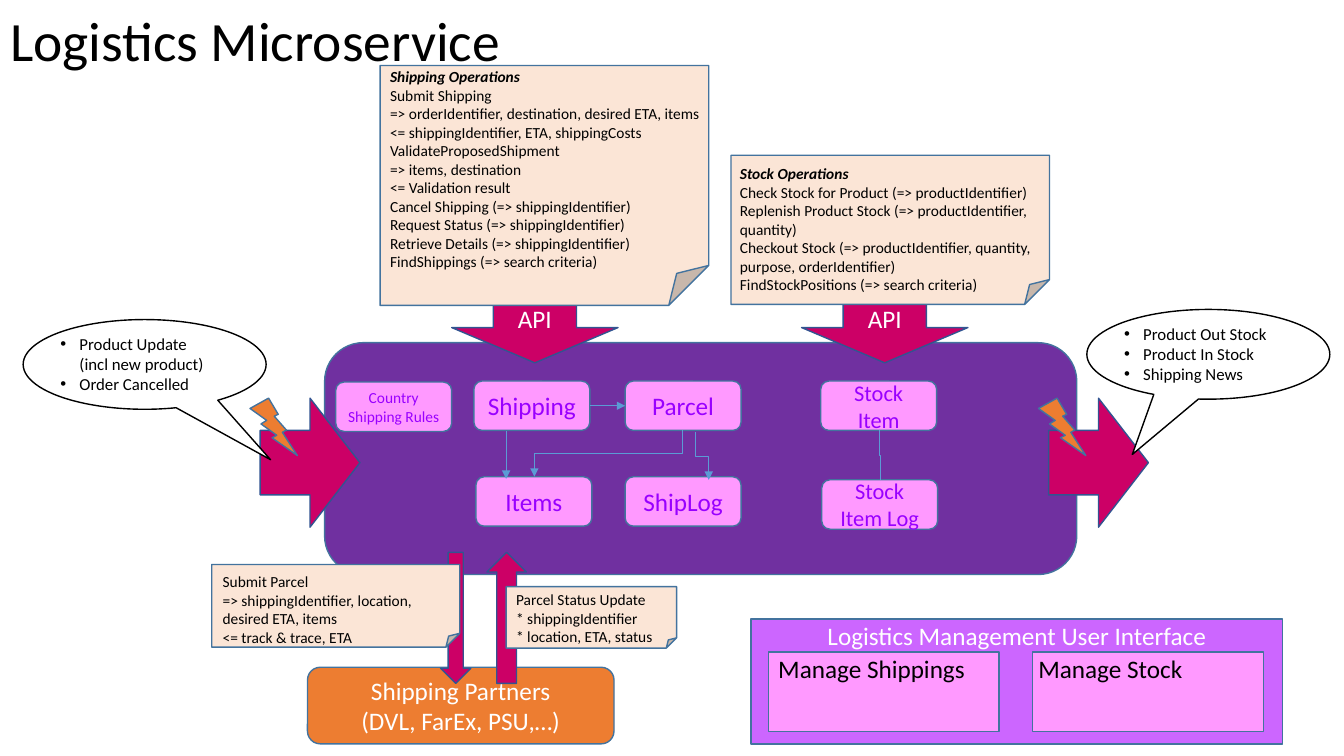
from lxml import etree
from pptx import Presentation
from pptx import util as u
from pptx.dml.color import RGBColor
from pptx.enum import shapes, text
from pptx.oxml import ns

PX = 9144
FONT = "Calibri"
EDGE, ARROW_EDGE, LINK = "43739E", "325491", "5B9BD5"
MAGENTA, PAPER, PINK, ORANGE = "CC0066", "FBE5D6", "FF99FF", "ED7D31"
VIOLET, BLACK, WHITE = "9900FF", "000000", "FFFFFF"
rgb = RGBColor.from_string
preset = shapes.MSO_SHAPE

deck = Presentation()
deck.slide_width, deck.slide_height = 1333 * PX, 750 * PX
slide = deck.slides.add_slide(deck.slide_layouts[5])


def write(holder, wording, size, colour, align):
    holder.text_frame.text = wording
    for paragraph in holder.text_frame.paragraphs:
        paragraph.alignment = align
        paragraph.font.name = FONT
        paragraph.font.size = u.Pt(size)
        paragraph.font.color.rgb = rgb(colour)


def draw(kind, box, fill=None, edge=EDGE, wording="", size=18, colour=WHITE, wrap=True):
    place = [length * PX for length in box]
    if kind is None:
        part = slide.shapes.add_textbox(*place)
        write(part, wording, size, colour, text.PP_ALIGN.LEFT)
        part.text_frame.word_wrap = wrap
        part.text_frame.auto_size = text.MSO_AUTO_SIZE.SHAPE_TO_FIT_TEXT
        return part
    part = slide.shapes.add_shape(kind, *place)
    part.shadow.inherit = False
    part.fill.solid()
    part.fill.fore_color.rgb = rgb(fill)
    part.line.color.rgb = rgb(edge)
    part.line.width = u.Pt(1)
    if wording:
        write(part, wording, size, colour, text.PP_ALIGN.CENTER)
    return part


title = slide.shapes.title
title.left, title.top, title.width, title.height = 0, 10 * PX, 1150 * PX, 66 * PX
write(title, "Logistics Microservice", 39.6, BLACK, text.PP_ALIGN.LEFT)
title.text_frame.vertical_anchor = text.MSO_ANCHOR.MIDDLE
title.text_frame.auto_size = text.MSO_AUTO_SIZE.NONE
title.text_frame.paragraphs[0].line_spacing = 0.9

draw(preset.ROUNDED_RECTANGLE, (322, 340, 746, 230), "7030A0")
for event_left in (258, 1040):
    draw(preset.RIGHT_ARROW, (event_left, 395, 99, 128), MAGENTA, ARROW_EDGE)
    draw(preset.LIGHTNING_BOLT, (event_left - 10, 395, 47, 57), ORANGE)

events = [
    ((1078, 307, 241, 89), (-0.313, 1.116), (1105, 316, 167, 71),
     "Product Out Stock\nProduct In Stock\nShipping News"),
    ((23, 317, 241, 89), (0.518, 1.062), (50, 326, 163, 71),
     "Product Update\v(incl new product)\nOrder Cancelled"),
]
for bubble_box, tip, list_box, wording in events:
    bubble = draw(preset.OVAL_CALLOUT, bubble_box, WHITE, BLACK)
    bubble.adjustments[0], bubble.adjustments[1] = tip
    event_list = draw(None, list_box, wording=wording, size=12, colour=BLACK, wrap=False)
    for paragraph in event_list.text_frame.paragraphs:
        properties = paragraph._p.get_or_add_pPr()
        properties.set("marL", str(19 * PX))
        properties.set("indent", str(-19 * PX))
        etree.SubElement(properties, ns.qn("a:buFont")).set("typeface", "Arial")
        etree.SubElement(properties, ns.qn("a:buChar")).set("char", "•")

draw(preset.ROUNDED_RECTANGLE, (305, 662, 304, 76), ORANGE,
     wording="Shipping Partners\n(DVL, FarEx, PSU,…)")
draw(preset.DOWN_ARROW, (437, 548, 30, 130), MAGENTA, ARROW_EDGE)
draw(preset.UP_ARROW, (483, 548, 39, 130), MAGENTA, ARROW_EDGE)

partner_calls = [
    ((502, 582, 169, 61), (502, 581, 158, 66), False,
     "Parcel Status Update\n* shippingIdentifier\n* location, ETA, status"),
    ((210, 560, 246, 82), (211, 563, 236, 84), True,
     "Submit Parcel\n=> shippingIdentifier, location, desired ETA, items\n<= track & trace, ETA"),
]
for note_box, wording_box, wrap, wording in partner_calls:
    draw(preset.FOLDED_CORNER, note_box, PAPER)
    draw(None, wording_box, wording=wording, size=11, colour=BLACK, wrap=wrap)

operations = [
    (448, (377, 65, 326, 238), (377, 62, 348, 232), """Shipping Operations
Submit Shipping
=> orderIdentifier, destination, desired ETA, items
<= shippingIdentifier, ETA, shippingCosts
ValidateProposedShipment
=> items, destination\v<= Validation result
Cancel Shipping (=> shippingIdentifier)
Request Status (=> shippingIdentifier)
Retrieve Details (=> shippingIdentifier)
FindShippings (=> search criteria)"""),
    (795, (725, 154, 316, 148), (724, 158, 317, 158), """Stock Operations
Check Stock for Product (=> productIdentifier)
Replenish Product Stock (=> productIdentifier, quantity)
Checkout Stock (=> productIdentifier, quantity, purpose, orderIdentifier)
FindStockPositions (=> search criteria)"""),
]
for api_left, note_box, wording_box, wording in operations:
    draw(preset.DOWN_ARROW, (api_left, 290, 165, 70), MAGENTA, ARROW_EDGE, "API")
    draw(preset.FOLDED_CORNER, note_box, PAPER)
    note = draw(None, wording_box, wording=wording, size=11, colour=BLACK)
    heading = note.text_frame.paragraphs[0].font
    heading.bold = heading.italic = True

entities = {}
for name, left, top, size in [
    ("Shipping", 470, 378, 18), ("Stock Item", 814, 378, 16), ("ShipLog", 620, 473, 18),
    ("Items", 472, 473, 18), ("Parcel", 620, 378, 18),
    ("Country Shipping Rules", 333, 379, 11), ("Stock Item Log", 815, 476, 16),
]:
    entities[name] = draw(preset.ROUNDED_RECTANGLE, (left, top, 115, 49), PINK,
                          wording=name, size=size, colour=VIOLET)

relations = [
    ((502, 428), (502, 475), None, True),
    ((677, 427), (530, 473), (("Parcel", 2), ("Items", 0)), True),
    ((690, 429), (703, 476), None, True),
    ((586, 402), (620, 402), (("Shipping", 3), ("Parcel", 1)), True),
    ((872, 427), (873, 476), (("Stock Item", 2), ("Stock Item Log", 0)), False),
]
for (x1, y1), (x2, y2), joined, arrow in relations:
    bent = x1 != x2 and y1 != y2
    route = shapes.MSO_CONNECTOR.ELBOW if bent else shapes.MSO_CONNECTOR.STRAIGHT
    link = slide.shapes.add_connector(route, x1 * PX, y1 * PX, x2 * PX, y2 * PX)
    if joined:
        (source, source_side), (target, target_side) = joined
        link.begin_connect(entities[source], source_side)
        link.end_connect(entities[target], target_side)
    if bent:
        run, drop = abs(x2 - x1) * PX, (y2 - y1) * PX
        link.left, link.top = ((x1 + x2) * PX - drop) // 2, ((y1 + y2) * PX - run) // 2
        link.width, link.height = drop, run
        frame = link._element.spPr.find(ns.qn("a:xfrm"))
        frame.set("rot", str((270 if x2 > x1 else 90) * 60000))
        frame.set("flipH", str(int(x2 > x1)))
        frame.set("flipV", "0")
    link.line.color.rgb = rgb(LINK)
    link.line.width = u.Pt(0.5)
    if arrow:
        etree.SubElement(link.line._get_or_add_ln(), ns.qn("a:tailEnd")).set("type", "triangle")
    etree.SubElement(link._element.spPr, ns.qn("a:effectLst"))

interface = draw(preset.RECTANGLE, (745, 614, 527, 124), "CC66FF",
                 wording="Logistics Management User Interface")
interface.text_frame.vertical_anchor = text.MSO_ANCHOR.TOP
interface.text_frame.margin_top = PX
for screen, panel_left, label_left, label_width in [
    ("Manage Shippings", 762, 762, 208), ("Manage Stock", 1024, 1020, 165),
]:
    draw(preset.RECTANGLE, (panel_left, 647, 229, 79), PINK)
    draw(None, (label_left, 643, label_width, 40), wording=screen, colour=BLACK, wrap=False)

deck.save("out.pptx")
